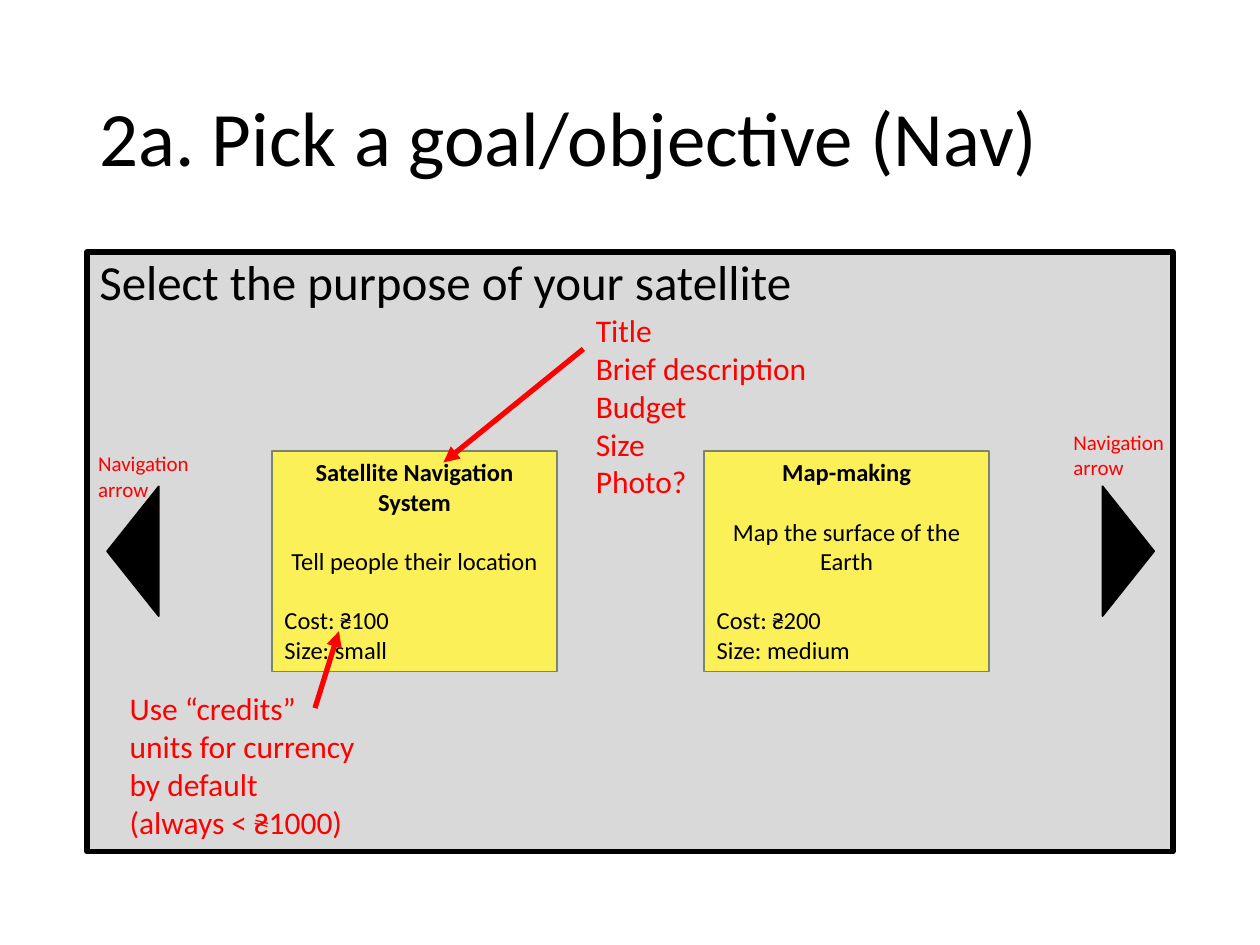
from dataclasses import dataclass

from lxml.etree import SubElement
from pptx import Presentation
from pptx.dml.color import RGBColor
from pptx.enum.shapes import MSO_CONNECTOR as Connector, MSO_SHAPE as Preset
from pptx.enum.text import MSO_ANCHOR as Anchor, PP_ALIGN as Align
from pptx.oxml.ns import qn
from pptx.util import Inches, Pt

# Grid: 100 columns by 75 rows over the whole slide
SLIDE_WIDTH, SLIDE_HEIGHT = Inches(10), Inches(7.5)
COLUMN, ROW = SLIDE_WIDTH / 100, SLIDE_HEIGHT / 75


@dataclass(frozen=True)
class Theme:
    font: str = "Calibri"
    ink: str = "000000"
    note: str = "FF0000"
    panel: str = "D9D9D9"
    card: str = "FCF059"
    card_line: str = "7A866C"
    title_size: int = 44
    heading_size: int = 28
    note_size: int = 18
    card_size: int = 14
    label_size: int = 12
    thick: int = 3
    thin: int = 1


@dataclass(frozen=True)
class Box:
    column: float
    row: float
    columns: float
    rows: float

    def emu(self) -> tuple[int, ...]:
        return (round(self.column * COLUMN), round(self.row * ROW),
                round(self.columns * COLUMN), round(self.rows * ROW))


@dataclass(frozen=True)
class Goal:
    column: float
    name: str
    description: str
    cost: str
    size: str


@dataclass(frozen=True)
class Note:
    box: Box
    lines: tuple[str, ...]
    size: int


@dataclass(frozen=True)
class Arrow:
    start: tuple[float, float]
    end: tuple[float, float]


THEME = Theme()
CARD_ROW, CARD_COLUMNS, CARD_ROWS = 35.8, 22.6, 17.5
CARD_GAP = 17.1  # points: one line of card text

GOALS = (
    Goal(55.9, "Map-making", "Map the surface of the Earth", "₴200", "medium"),
    Goal(21.6, "Satellite Navigation System", "Tell people their location",
         "₴100", "small"),
)
NAVIGATION = ((Box(84.4, 41.7, 10.3, 4.1), 90), (Box(5.4, 41.7, 10.3, 4.1), 270))
ARROWS = (Arrow((46.3, 27.7), (35.2, 36.7)), Arrow((25, 56.2), (26.9, 50.1)))
NOTES = (
    Note(Box(46.3, 24.2, 20.2, 16.2),
         ("Title", "Brief description", "Budget", "Size", "Photo?"), THEME.note_size),
    Note(Box(9.3, 54.2, 20.2, 13.1),
         ("Use “credits” units for currency by default (always < ₴1000)",),
         THEME.note_size),
    Note(Box(84.2, 33.6, 9.9, 5), ("Navigation arrow",), THEME.label_size),
    Note(Box(6.8, 35.3, 9.4, 5), ("Navigation arrow",), THEME.label_size),
)


def write(shape, text: str, *, size: int, color: str = THEME.ink, bold: bool = False,
          align=Align.LEFT, spacing: float = 1.0, before: float = 0) -> None:
    """Add one paragraph, filling the empty first one if there is one."""
    frame = shape.text_frame
    first = frame.paragraphs[0]
    paragraph = frame.add_paragraph() if first.runs else first
    paragraph.alignment = align
    paragraph.line_spacing = spacing
    paragraph.space_before = Pt(before)
    run = paragraph.add_run()
    run.text = text
    run.font.name = THEME.font
    run.font.size = Pt(size)
    run.font.bold = bold
    run.font.color.rgb = RGBColor.from_string(color)


def add_text_box(slide, box: Box, anchor=Anchor.TOP):
    shape = slide.shapes.add_textbox(*box.emu())
    shape.text_frame.word_wrap = True
    shape.text_frame.vertical_anchor = anchor
    return shape


def add_shape(slide, preset, box: Box, *, fill: str, line: str, width: float):
    shape = slide.shapes.add_shape(preset, *box.emu())
    shape.shadow.inherit = False
    shape.fill.solid()
    shape.fill.fore_color.rgb = RGBColor.from_string(fill)
    shape.line.color.rgb = RGBColor.from_string(line)
    shape.line.width = Pt(width)
    shape.text_frame.word_wrap = True
    shape.text_frame.vertical_anchor = Anchor.TOP
    return shape


def add_goal(slide, goal: Goal) -> None:
    card = add_shape(slide, Preset.RECTANGLE,
                     Box(goal.column, CARD_ROW, CARD_COLUMNS, CARD_ROWS),
                     fill=THEME.card, line=THEME.card_line, width=THEME.thin)
    size = THEME.card_size
    write(card, goal.name, size=size, bold=True, align=Align.CENTER)
    write(card, goal.description, size=size, align=Align.CENTER, before=CARD_GAP)
    write(card, f"Cost: {goal.cost}", size=size, before=CARD_GAP)
    write(card, f"Size: {goal.size}", size=size)


def add_arrow(slide, arrow: Arrow) -> None:
    (x1, y1), (x2, y2) = arrow.start, arrow.end
    connector = slide.shapes.add_connector(
        Connector.STRAIGHT, round(x1 * COLUMN), round(y1 * ROW),
        round(x2 * COLUMN), round(y2 * ROW))
    connector.line.color.rgb = RGBColor.from_string(THEME.note)
    connector.line.width = Pt(THEME.thick)
    SubElement(connector.line._get_or_add_ln(), qn("a:tailEnd"), type="triangle")
    SubElement(connector._element.spPr, qn("a:effectLst"))


def add_note(slide, note: Note) -> None:
    shape = add_text_box(slide, note.box)
    for line in note.lines:
        write(shape, line, size=note.size, color=THEME.note)


def main() -> None:
    presentation = Presentation()
    presentation.slide_width, presentation.slide_height = SLIDE_WIDTH, SLIDE_HEIGHT
    slide = presentation.slides.add_slide(presentation.slide_layouts[6])

    # Title and screen panel
    title = add_text_box(slide, Box(6.9, 4, 86.2, 14.5), Anchor.MIDDLE)
    write(title, "2a. Pick a goal/objective (Nav)", size=THEME.title_size, spacing=0.9)
    panel = add_shape(slide, Preset.RECTANGLE, Box(6.9, 20, 86.2, 47.6),
                      fill=THEME.panel, line=THEME.ink, width=THEME.thick)
    write(panel, "Select the purpose of your satellite",
          size=THEME.heading_size, spacing=0.9)

    # Goal cards and navigation triangles
    for goal in GOALS:
        add_goal(slide, goal)
    for box, rotation in NAVIGATION:
        triangle = add_shape(slide, Preset.ISOSCELES_TRIANGLE, box,
                             fill=THEME.ink, line=THEME.ink, width=THEME.thin)
        triangle.rotation = rotation

    # Red annotations
    for arrow in ARROWS:
        add_arrow(slide, arrow)
    for note in NOTES:
        add_note(slide, note)

    presentation.save("out.pptx")


if __name__ == "__main__":
    main()
